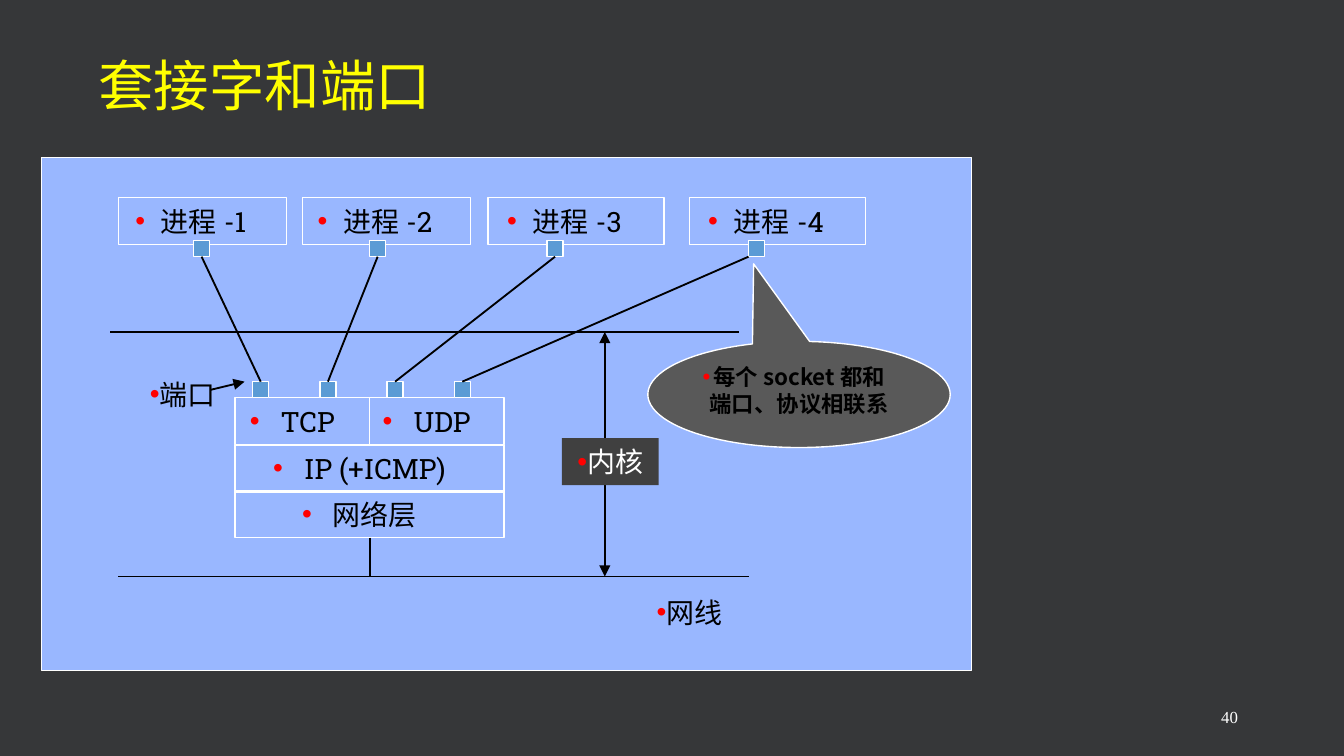
from lxml.etree import SubElement
from pptx import Presentation
from pptx.dml.color import RGBColor
from pptx.enum.shapes import MSO_CONNECTOR, MSO_SHAPE
from pptx.enum.text import MSO_ANCHOR, PP_ALIGN
from pptx.oxml.ns import qn
from pptx.util import Inches, Pt

COLORS = {
    "background": "363739",
    "title": "FFFF00",
    "panel": "99B7FF",
    "socket": "5B9BD5",
    "kernel": "404040",
    "callout": "595959",
    "bullet": "FF0000",
    "white": "FFFFFF",
    "black": "000000",
}
SLAB, SANS, SERIF = "Roboto Slab", "Noto Sans CJK SC", "Times New Roman"
SOCKET_SIZE = 0.12
PROCESS_TOP, BLOCK_HEIGHT = 1.47, 0.35
SOCKET_TOP, PORT_TOP = 1.79, 2.84
KERNEL_TOP, KERNEL_BOTTOM = 2.47, 4.29


def color(name):
    return RGBColor.from_string(COLORS[name])


def style_paragraph(para, size, font, ink, bold=False):
    para.font.size = Pt(size)
    para.font.name = font
    para.font.bold = bold
    para.font.color.rgb = color(ink)
    # The East Asian typeface has no public setter.
    SubElement(para.font._element, qn("a:ea"), typeface=font)


def add_bullet(para, indent):
    props = para._p.get_or_add_pPr()
    props.set("marL", str(Inches(indent)))
    props.set("indent", str(-Inches(indent)))
    bullet_color = SubElement(props, qn("a:buClr"))
    SubElement(bullet_color, qn("a:srgbClr"), val=COLORS["bullet"])
    SubElement(props, qn("a:buFont"), typeface="Arial")
    SubElement(props, qn("a:buChar"), char="•")


def write_bullet(shape, text, ink="black", size=15, font=SLAB, bold=False,
                 indent=0.02, wrap=True, anchor=MSO_ANCHOR.MIDDLE):
    frame = shape.text_frame
    frame.word_wrap = wrap
    frame.vertical_anchor = anchor
    para = frame.paragraphs[0]
    para.text = text
    para.alignment = PP_ALIGN.CENTER
    add_bullet(para, indent)
    style_paragraph(para, size, font, ink, bold)


def add_block(page, left, top, width, height, fill=None, outline=True,
              kind=MSO_SHAPE.RECTANGLE):
    shape = page.shapes.add_shape(
        kind, Inches(left), Inches(top), Inches(width), Inches(height))
    shape.shadow.inherit = False
    if fill:
        shape.fill.solid()
        shape.fill.fore_color.rgb = color(fill)
    else:
        shape.fill.background()
    if outline:
        shape.line.color.rgb = color("white")
        shape.line.width = Pt(0.75)
    else:
        shape.line.fill.background()
    return shape


def add_text_block(page, text, left, top, width, indent, right_inset):
    """Add an outlined box with a hanging bullet and centred text."""
    box = add_block(page, left, top, width, BLOCK_HEIGHT)
    box.text_frame.margin_left = 0
    box.text_frame.margin_right = Inches(right_inset)
    write_bullet(box, text, indent=indent)
    return box


def add_socket(page, left, top):
    return add_block(page, left, top, SOCKET_SIZE, SOCKET_SIZE, "socket")


def add_label(page, text, left, top):
    box = page.shapes.add_textbox(
        Inches(left), Inches(top), Inches(0.72), Inches(0.35))
    write_bullet(box, text, wrap=False)


def add_line(page, start, end, arrows=()):
    line = page.shapes.add_connector(
        MSO_CONNECTOR.STRAIGHT, *(Inches(value) for value in (*start, *end)))
    line.line.color.rgb = color("black")
    line.line.width = Pt(1)
    SubElement(line._element.spPr, qn("a:effectLst"))
    for arrow in arrows:
        SubElement(line.line._get_or_add_ln(), qn(f"a:{arrow}"), type="triangle")
    return line


def add_title(page, text):
    title = page.shapes.title
    title.left, title.top = Inches(0.65), Inches(0.45)
    title.width, title.height = Inches(6.56), Inches(0.47)
    frame = title.text_frame
    frame.margin_left = frame.margin_right = Inches(0.08)
    frame.margin_top = frame.margin_bottom = Inches(0.04)
    frame.vertical_anchor = MSO_ANCHOR.BOTTOM
    para = frame.paragraphs[0]
    para.text = text
    para.alignment = PP_ALIGN.LEFT
    para.line_spacing = 0.9
    style_paragraph(para, 29.7, SANS, "title")


def add_page_number(page, text):
    box = page.shapes.add_textbox(
        Inches(7.06), Inches(5.21), Inches(2.25), Inches(0.3))
    box.text_frame.word_wrap = True
    para = box.text_frame.paragraphs[0]
    para.text = text
    para.alignment = PP_ALIGN.RIGHT
    style_paragraph(para, 9, SERIF, "white")


def add_protocol_stack(page):
    layers = [
        ("TCP", 1.75, 2.96, 1),
        ("UDP", 2.75, 2.96, 1),
        ("IP (+ICMP)", 1.75, 3.31, 2),
        ("网络层", 1.75, 3.65, 2),
    ]
    for text, left, top, width in layers:
        box = add_text_block(page, text, left, top, width, 0.23, 0.15)
    wire = add_line(page, (2.75, 4), (2.75, KERNEL_BOTTOM))
    wire.begin_connect(box, 2)


def add_processes(page):
    """Add each process with its socket, its port and the line between."""
    processes = [(0.88, 1.25, 1.44), (2.25, 1.25, 2.75),
                 (3.63, 1.31, 4.07), (5.13, 1.31, 5.57)]
    for index, (left, width, socket_left) in enumerate(processes):
        add_text_block(page, f"进程 -{index + 1}", left, PROCESS_TOP, width,
                       0.19, 0.17)
        socket = add_socket(page, socket_left, SOCKET_TOP)
        port_left = 1.88 + 0.5 * index
        port = add_socket(page, port_left, PORT_TOP)
        link = add_line(page, (socket_left, SOCKET_TOP + SOCKET_SIZE),
                        (port_left, PORT_TOP))
        link.end_connect(port, 0)
        if index < len(processes) - 1:
            link.begin_connect(socket, 2)


def add_kernel(page):
    add_line(page, (4.5, KERNEL_TOP), (4.5, KERNEL_BOTTOM),
             ("headEnd", "tailEnd"))
    kernel = add_block(page, 4.18, 3.26, 0.72, 0.35, "kernel", outline=False)
    write_bullet(kernel, "内核", ink="white", wrap=False)


def add_callout(page, text):
    callout = add_block(page, 4.82, 2.54, 2.25, 0.79, "callout",
                        kind=MSO_SHAPE.OVAL_CALLOUT)
    callout.adjustments[0] = -0.15
    callout.adjustments[1] = -1.23
    callout.text_frame.margin_left = Inches(0.02)
    write_bullet(callout, text, size=12, font=SANS, bold=True, indent=0.08,
                 anchor=MSO_ANCHOR.TOP)


def main():
    deck = Presentation()
    deck.slide_width = Inches(10)
    deck.slide_height = deck.slide_width * 9 // 16
    page = deck.slides.add_slide(deck.slide_layouts[5])
    page.background.fill.solid()
    page.background.fill.fore_color.rgb = color("background")

    add_title(page, "套接字和端口")
    add_page_number(page, "40")
    add_block(page, 0.31, 1.17, 6.92, 3.82, "panel")
    add_line(page, (0.82, KERNEL_TOP), (5.5, KERNEL_TOP))
    add_line(page, (0.88, KERNEL_BOTTOM), (5.57, KERNEL_BOTTOM))
    add_protocol_stack(page)
    add_processes(page)
    add_label(page, "网线", 4.77, 4.38)
    add_label(page, "端口", 1, 2.76)
    add_line(page, (1.57, 2.9), (1.82, 2.84), ("tailEnd",))
    add_kernel(page)
    add_callout(page, "每个 socket 都和端口、协议相联系")
    deck.save("out.pptx")


if __name__ == "__main__":
    main()
